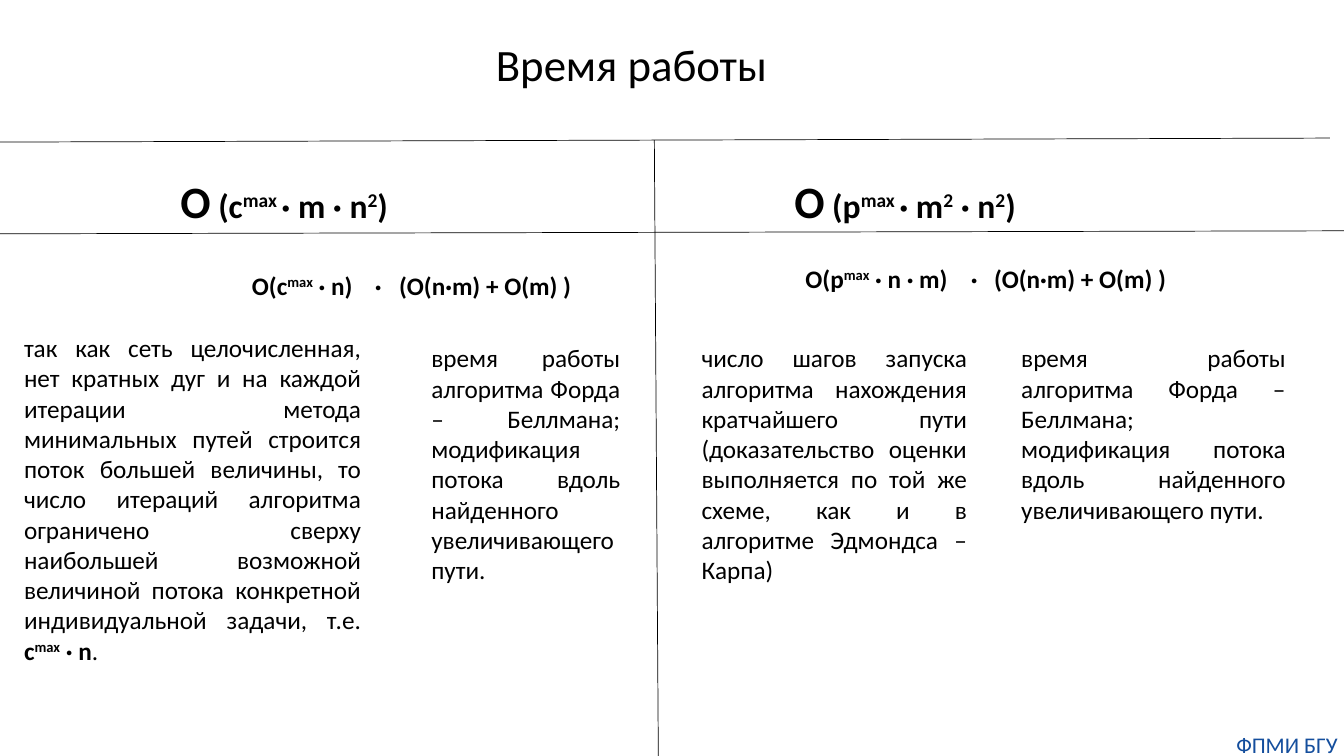
import pptx
import pptx.dml.color
import pptx.enum.text
import pptx.oxml
import pptx.oxml.ns
import pptx.util
from pptx.util import Inches

JUSTIFY = pptx.enum.text.PP_ALIGN.JUSTIFY
LEFT = pptx.enum.text.PP_ALIGN.LEFT
CENTER = pptx.enum.text.PP_ALIGN.CENTER

FONT, BLACK, BLUE = "Calibri", "000000", "144E9D"
INSET = (0.1, 0.05)

BELLMAN_FORD = (
    "время работы алгоритма Форда – Беллмана; "
    "модификация потока вдоль найденного увеличивающего пути."
)
SHORTEST_PATH_STEPS = (
    "число шагов запуска алгоритма нахождения кратчайшего пути "
    "(доказательство оценки выполняется по той же схеме, "
    "как и в алгоритме Эдмондса – Карпа)"
)
ITERATIONS = (
    "так как сеть целочисленная, нет кратных дуг и на каждой итерации метода "
    "минимальных путей строится поток большей величины, то число итераций "
    "алгоритма ограничено сверху наибольшей возможной величиной потока "
    "конкретной индивидуальной задачи, т.е. "
)

TITLE = ((4.82, 0.32, 3.18, 0.64), [("Время работы", 32, "")])
FACULTY = ((12.2, 7.25, 1.13, 0.27), [("ФПМИ БГУ", 16, "")])

BOUNDS = [
    ((1.69, 1.67, 2.35, 0.64), [
        ("О", 32, "b"), (" (c", 24, "b"), ("max ", 24, "b^"),
        ("· m · n", 24, "b"), ("2", 24, "b^"), (")", 24, "b"),
    ]),
    ((7.78, 1.67, 2.5, 0.64), [
        ("О", 32, "b"), (" (p", 24, "b"), ("max ", 24, "b^"),
        ("· m", 24, "b"), ("2", 24, "b^"),
        (" · n", 24, "b"), ("2", 24, "b^"), (")", 24, "b"),
    ]),
]

FACTORS = [
    ((2.4, 2.63, 3.85, 0.4), (1.22, 1.46), "О(c", " · n)"),
    ((7.89, 2.56, 4.21, 0.4), (1.64, 1.87), "О(p", " · n · m)"),
]

EXPLANATIONS = [
    ((0.14, 3.25, 3.54, 3.43), [
        (ITERATIONS, 18, ""), ("c", 18, "b"), ("max", 18, "b^"),
        (" · n", 18, "b"), (".", 18, ""),
    ]),
    ((4.18, 3.35, 2.07, 3.13), [(BELLMAN_FORD, 18, "")]),
    ((6.86, 3.35, 2.83, 2.52), [(SHORTEST_PATH_STEPS, 18, "")]),
    ((10.03, 3.35, 2.82, 2.22), [(BELLMAN_FORD, 18, "")]),
]

RULES = [
    (6.49, 1.39, 6.53, 7.58),
    (0, 2.32, 13.33, 2.29),
    (-0.14, 1.41, 13.19, 1.37),
]


def rgb(value):
    return pptx.dml.color.RGBColor.from_string(value)


def add_text(slide, place, pieces, align=LEFT, color=BLACK, inset=INSET):
    frame = slide.shapes.add_textbox(*map(Inches, place)).text_frame
    across, down = map(Inches, inset)
    layout = {
        "word_wrap": True,
        "margin_left": across, "margin_right": across,
        "margin_top": down, "margin_bottom": down,
    }
    for name, value in layout.items():
        setattr(frame, name, value)
    paragraph = frame.paragraphs[0]
    paragraph.alignment = align
    for text, size, style in pieces:
        run = paragraph.add_run()
        run.text = text
        look = {"name": FONT, "size": pptx.util.Pt(size), "bold": "b" in style}
        for name, value in look.items():
            setattr(run.font, name, value)
        run.font.color.rgb = rgb(color)
        if "^" in style:
            run.font._element.set("baseline", "30000")
    return paragraph


def add_tab_stops(paragraph, stops):
    properties = paragraph._p.get_or_add_pPr()
    tabs = pptx.oxml.ns.qn("a:tabLst")
    tab_list = properties.makeelement(tabs, {})
    properties.append(tab_list)
    for stop in stops:
        position = {"pos": str(Inches(stop)), "algn": "l"}
        tab_list.append(tab_list.makeelement(pptx.oxml.ns.qn("a:tab"), position))


def add_rule(slide, ends):
    rule = slide.shapes.add_connector(
        pptx.enum.shapes.MSO_CONNECTOR.STRAIGHT, *map(Inches, ends))
    rule.line.color.rgb = rgb(BLACK)
    rule.line.width = pptx.util.Pt(0.5)
    properties = rule._element.spPr
    properties.append(properties.makeelement(pptx.oxml.ns.qn("a:effectLst"), {}))


def main():
    deck = pptx.Presentation()
    deck.slide_width, deck.slide_height = Inches(13.33), Inches(7.5)
    slide = deck.slides.add_slide(deck.slide_layouts[6])

    add_text(slide, *TITLE)
    for place, pieces in BOUNDS:
        add_text(slide, place, pieces)
    for place, stops, start, rest in FACTORS:
        pieces = [
            (start, 18, "b"), ("max", 18, "b^"),
            (rest + "\t·\t(О(n·m) + О(m) )", 18, "b"),
        ]
        add_tab_stops(add_text(slide, place, pieces), stops)
    for place, pieces in EXPLANATIONS:
        add_text(slide, place, pieces, JUSTIFY)
    for ends in RULES:
        add_rule(slide, ends)
    add_text(slide, *FACULTY, CENTER, BLUE, (0, 0))

    deck.save("out.pptx")


if __name__ == "__main__":
    import pptx.enum.shapes
    main()
